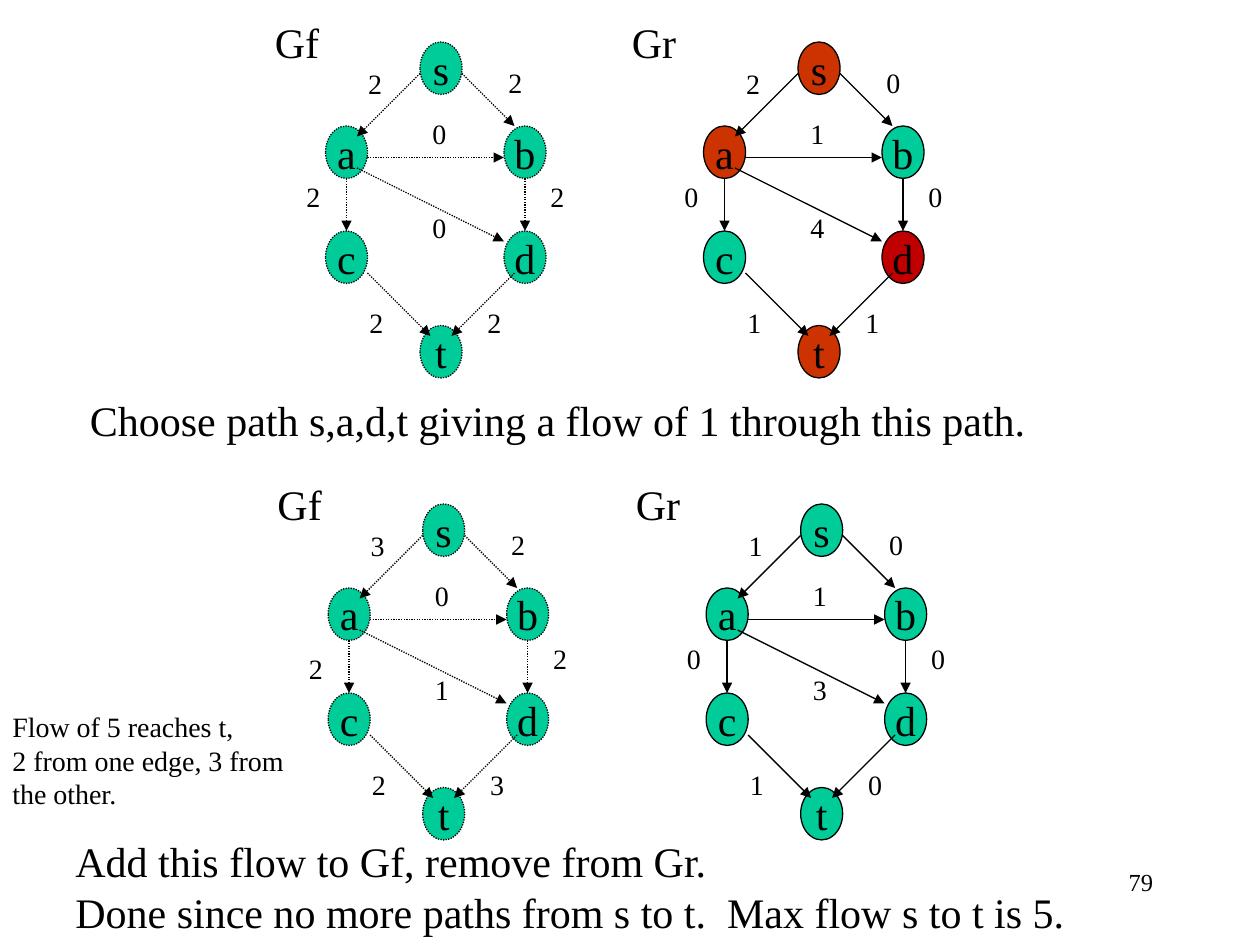
from dataclasses import dataclass, field
from typing import NamedTuple

from pptx import Presentation
from pptx.dml.color import RGBColor
from pptx.enum.dml import MSO_LINE
from pptx.enum.shapes import MSO_CONNECTOR, MSO_SHAPE
from pptx.enum.text import MSO_ANCHOR, MSO_AUTO_SIZE, PP_ALIGN
from pptx.oxml.ns import qn
from pptx.util import Emu, Pt
from lxml.etree import SubElement

PX = 9525  # EMU in one px, 96 px to the inch
COLORS = {"ink": "000000", "node": "00CC99", "on_path": "CC3300", "on_path_dark": "C00000"}
FONT = "Times New Roman"
NODE_W, NODE_H = 32, 40
BOX_FORMAT = {"word_wrap": False, "auto_size": MSO_AUTO_SIZE.SHAPE_TO_FIT_TEXT}
NODE_FORMAT = {"word_wrap": False, "vertical_anchor": MSO_ANCHOR.MIDDLE}


class Point(NamedTuple):
    x: int
    y: int


@dataclass
class Edge:
    start: Point
    end: Point
    label: Point


@dataclass
class Graph:
    name: str
    origin: Point
    name_x: int
    weights: dict[str, int]
    dotted: bool
    fills: dict[str, str] = field(default_factory=dict)
    label_drops: dict[str, int] = field(default_factory=dict)


@dataclass
class Note:
    lines: list[str]
    left: int
    top: int
    width: int
    height: int
    size: int = 24
    align: PP_ALIGN = PP_ALIGN.LEFT


# Layout shared by all four graphs, measured from the graph's origin
NODES = {
    "s": Point(72, 0), "a": Point(0, 64), "b": Point(136, 64),
    "t": Point(72, 216), "c": Point(0, 144), "d": Point(136, 144),
}
EDGES = {
    "sa": Edge(Point(72, 24), Point(24, 72), Point(23, 14)),
    "sb": Edge(Point(104, 24), Point(144, 64), Point(130, 13)),
    "ab": Edge(Point(32, 88), Point(136, 88), Point(72, 52)),
    "ac": Edge(Point(16, 104), Point(16, 144), Point(-24, 100)),
    "ad": Edge(Point(24, 96), Point(136, 152), Point(72, 124)),
    "bd": Edge(Point(152, 104), Point(152, 144), Point(162, 100)),
    "ct": Edge(Point(32, 176), Point(80, 224), Point(24, 196)),
    "dt": Edge(Point(144, 176), Point(96, 224), Point(114, 196)),
}


def weights(*values: int) -> dict[str, int]:
    return dict(zip(EDGES, values))


GRAPHS = [
    Graph("Gf", Point(248, 32), -48, weights(2, 2, 0, 2, 0, 2, 2, 2), True),
    Graph("Gr", Point(536, 32), -64, weights(2, 0, 1, 0, 4, 0, 1, 1), False,
          fills={"s": "on_path", "a": "on_path", "d": "on_path_dark", "t": "on_path"}),
    Graph("Gf", Point(250, 384), -48, weights(3, 2, 0, 2, 1, 2, 2, 3), True,
          label_drops={"ac": 8}),
    Graph("Gr", Point(538, 384), -63, weights(1, 0, 1, 0, 3, 0, 1, 0), False),
]
NOTES = [
    Note(["79"], 688, 656, 200, 48, 14, PP_ALIGN.RIGHT),
    Note(["Add this flow to Gf, remove from Gr.",
          "Done since no more paths from s to t.  Max flow s to t is 5."], 48, 632, 773, 86),
    Note(["Choose path s,a,d,t giving a flow of 1 through this path."], 59, 296, 748, 48),
    Note(["Flow of 5 reaches t,", "2 from one edge, 3 from", "the other."], 0, 536, 229, 87, 16),
]


def px(*lengths: int) -> list[Emu]:
    return [Emu(length * PX) for length in lengths]


def color(key: str) -> RGBColor:
    return RGBColor.from_string(COLORS[key])


def write(frame, lines: list[str], size: int, align: PP_ALIGN, frame_format: dict) -> None:
    for name, value in frame_format.items():
        setattr(frame, name, value)
    font_format = {"name": FONT, "size": Pt(size)}
    for number, line in enumerate(lines):
        paragraph = frame.add_paragraph() if number else frame.paragraphs[0]
        paragraph.alignment = align
        run = paragraph.add_run()
        run.text = line
        for name, value in font_format.items():
            setattr(run.font, name, value)
        run.font.color.rgb = color("ink")


def draw_note(slide, note: Note) -> None:
    box = slide.shapes.add_textbox(*px(note.left, note.top, note.width, note.height))
    # A right-aligned line keeps the box's right edge by wrapping inside it
    box_format = BOX_FORMAT if note.align == PP_ALIGN.LEFT else {"word_wrap": True}
    write(box.text_frame, note.lines, note.size, note.align, box_format)


def style_line(line, dotted: bool) -> None:
    line.color.rgb = color("ink")
    line.width = Pt(0.75)
    if dotted:
        line.dash_style = MSO_LINE.ROUND_DOT


def draw_node(slide, letter: str, at: Point, fill: str, dotted: bool) -> None:
    node = slide.shapes.add_shape(MSO_SHAPE.OVAL, *px(*at, NODE_W, NODE_H))
    node.shadow.inherit = False
    node.fill.solid()
    node.fill.fore_color.rgb = color(fill)
    style_line(node.line, dotted)
    write(node.text_frame, [letter], 24, PP_ALIGN.CENTER, NODE_FORMAT)


def draw_arrow(slide, start: Point, end: Point, dotted: bool) -> None:
    arrow = slide.shapes.add_connector(MSO_CONNECTOR.STRAIGHT, *px(*start, *end))
    style_line(arrow.line, dotted)
    properties = arrow._element.spPr
    SubElement(properties.find(qn("a:ln")), qn("a:tailEnd"), type="triangle")
    SubElement(properties, qn("a:effectLst"))


def draw_graph(slide, graph: Graph) -> None:
    def place(offset: Point) -> Point:
        return Point(graph.origin.x + offset.x, graph.origin.y + offset.y)

    for letter, offset in NODES.items():
        draw_node(slide, letter, place(offset), graph.fills.get(letter, "node"), graph.dotted)
    for edge in EDGES.values():
        draw_arrow(slide, place(edge.start), place(edge.end), graph.dotted)
    for key, edge in EDGES.items():
        at = place(edge.label)
        top = at.y + graph.label_drops.get(key, 0)
        draw_note(slide, Note([str(graph.weights[key])], at.x, top, 30, 35, 16))
    draw_note(slide, Note([graph.name], *place(Point(graph.name_x, -24)), 53, 48))


def main() -> None:
    deck = Presentation()
    deck.slide_width, deck.slide_height = px(960, 720)
    slide = deck.slides.add_slide(deck.slide_layouts[6])
    for note in NOTES:
        draw_note(slide, note)
    for graph in GRAPHS:
        draw_graph(slide, graph)
    deck.save("out.pptx")


if __name__ == "__main__":
    main()
